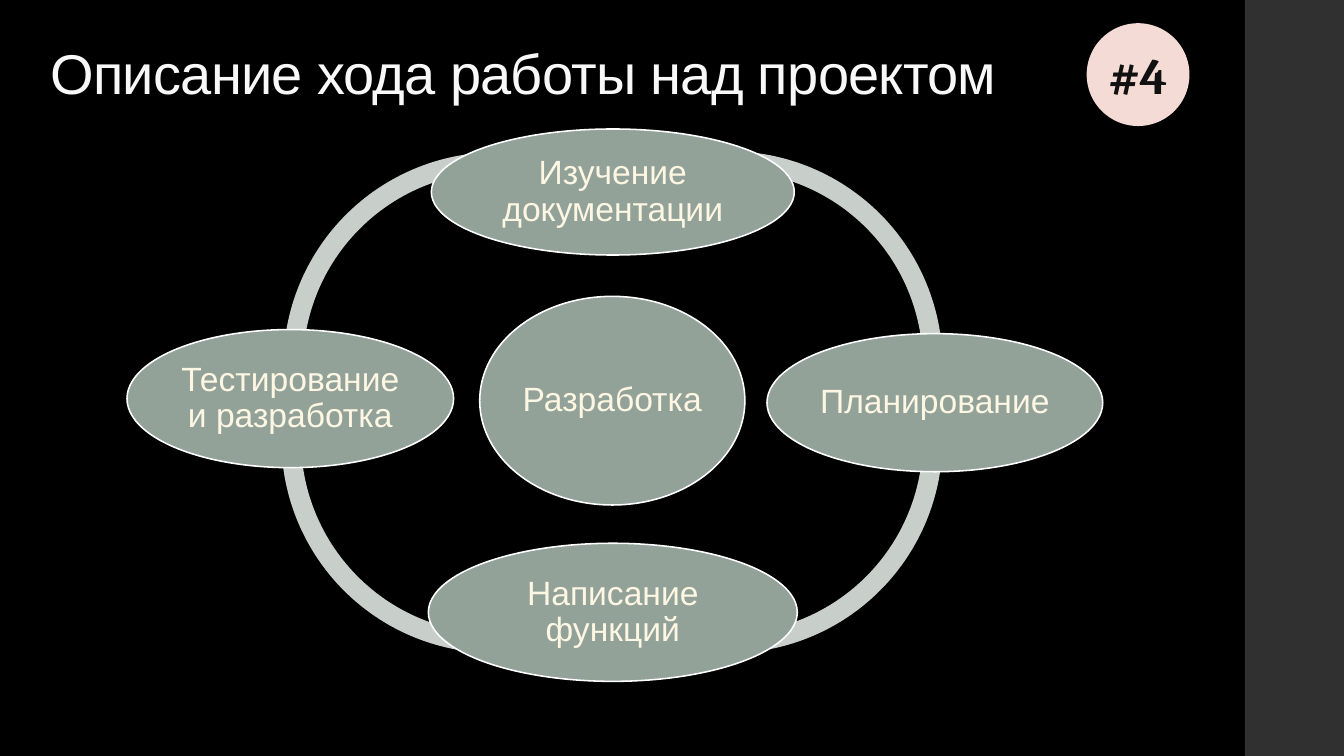
"""Build the slide that shows the project workflow as a cycle around development."""

from dataclasses import dataclass

from pptx import Presentation
from pptx.dml.color import RGBColor
from pptx.enum.shapes import MSO_SHAPE
from pptx.enum.text import MSO_ANCHOR, MSO_AUTO_SIZE, PP_ALIGN
from pptx.util import Inches, Pt

RECTANGLE = MSO_SHAPE.RECTANGLE
OVAL = MSO_SHAPE.OVAL
BLOCK_ARC = MSO_SHAPE.BLOCK_ARC
MIDDLE = MSO_ANCHOR.MIDDLE
BOTTOM = MSO_ANCHOR.BOTTOM
NO_AUTOFIT = MSO_AUTO_SIZE.NONE
CENTER = PP_ALIGN.CENTER
LEFT = PP_ALIGN.LEFT

TITLE_ONLY = 5
SLIDE_WIDTH = Inches(13.33)
SLIDE_HEIGHT = Inches(7.5)
COLORS = {
    "background": "000000",
    "sidebar": "303030",
    "badge": "F5DBD5",
    "badge_text": "111111",
    "title": "F8F8F8",
    "ring": "C8CECA",
    "stage": "93A299",
    "outline": "FFFFFF",
    "stage_text": "FDF6E3",
}


@dataclass(frozen=True)
class Area:
    """Centre and size in percent of the slide's width and height."""

    center_x: float
    center_y: float
    width: float
    height: float


@dataclass(frozen=True)
class Stage:
    """One labelled oval of the cycle."""

    label: str
    area: Area


@dataclass(frozen=True)
class Arc:
    """One quarter of the ring with its centre and end angles in degrees."""

    center_x: float
    center_y: float
    start: float
    end: float


TITLE_AREA = Area(39.38, 9.93, 72.75, 9.73)
SIDEBAR_AREA = Area(96.31, 50, 7.38, 100)
BADGE_AREA = Area(84.68, 9.87, 7.65, 13.6)
ARC_WIDTH = 31.8
ARC_HEIGHT = 56.53
ARC_THICKNESS = 0.046
ARC_UNITS_PER_DEGREE = 0.6

ARCS = [
    Arc(36.98, 48.4, 170.86, 303.72),
    Arc(36.83, 58.13, 55.82, 191.32),
    Arc(54.23, 58.13, 349.94, 123.9),
    Arc(54.23, 48.27, 236.03, 10.37),
]
STAGES = [
    Stage("Разработка", Area(45.56, 53, 19.73, 27.6)),
    Stage("Изучение документации", Area(45.6, 25.4, 27, 16.67)),
    Stage("Планирование", Area(69.56, 53.27, 24.98, 18.27)),
    Stage("Написание функций", Area(45.6, 81, 27.45, 18.27)),
    Stage("Тестирование и разработка", Area(21.6, 52.73, 24.3, 18.27)),
]


def color(name: str) -> RGBColor:
    """Return the named colour."""
    return RGBColor.from_string(COLORS[name])


def place(shape, area: Area) -> None:
    """Move and size a shape to fill an area."""
    shape.left = round(SLIDE_WIDTH * (area.center_x - area.width / 2) / 100)
    shape.top = round(SLIDE_HEIGHT * (area.center_y - area.height / 2) / 100)
    shape.width = round(SLIDE_WIDTH * area.width / 100)
    shape.height = round(SLIDE_HEIGHT * area.height / 100)


def add_figure(page, kind: MSO_SHAPE, area: Area, fill: str, outline: str = ""):
    """Add a flat filled shape with an optional outline."""
    shape = page.shapes.add_shape(kind, 0, 0, 0, 0)
    place(shape, area)
    shape.shadow.inherit = False
    shape.fill.solid()
    shape.fill.fore_color.rgb = color(fill)
    if outline:
        shape.line.color.rgb = color(outline)
        shape.line.width = Pt(1.1)
    else:
        shape.line.fill.background()
    return shape


def write(shape, text: str, *, size: float, fill: str, font: str = "Arial",
          bold: bool = False, align: PP_ALIGN = CENTER,
          anchor: MSO_ANCHOR = MIDDLE, inset: float = 0.03,
          line_spacing: float = 0.9, tracking: float = 0) -> None:
    """Write one formatted paragraph into a shape."""
    frame = shape.text_frame
    frame.word_wrap = True
    frame.auto_size = NO_AUTOFIT
    frame.vertical_anchor = anchor
    frame.margin_left = frame.margin_right = Inches(inset)
    frame.margin_top = frame.margin_bottom = Inches(min(inset, 0.05))
    para = frame.paragraphs[0]
    para.alignment = align
    para.line_spacing = line_spacing
    span = para.add_run()
    span.text = text
    span.font.name = font
    span.font.size = Pt(size)
    span.font.bold = bold
    span.font.color.rgb = color(fill)
    if tracking:
        span.font._element.set("spc", str(round(tracking * 100)))


def add_arc(page, arc: Arc) -> None:
    """Add one quarter of the ring."""
    area = Area(arc.center_x, arc.center_y, ARC_WIDTH, ARC_HEIGHT)
    shape = add_figure(page, BLOCK_ARC, area, "ring")
    shape.adjustments[0] = arc.start * ARC_UNITS_PER_DEGREE
    shape.adjustments[1] = arc.end * ARC_UNITS_PER_DEGREE
    shape.adjustments[2] = ARC_THICKNESS


def add_stage(page, stage: Stage) -> None:
    """Add one labelled oval."""
    shape = add_figure(page, OVAL, stage.area, "stage", "outline")
    write(shape, stage.label, size=24, fill="stage_text")


def main() -> None:
    """Build and save the deck."""
    deck = Presentation()
    deck.slide_width = SLIDE_WIDTH
    deck.slide_height = SLIDE_HEIGHT
    page = deck.slides.add_slide(deck.slide_layouts[TITLE_ONLY])
    page.background.fill.solid()
    page.background.fill.fore_color.rgb = color("background")

    add_figure(page, RECTANGLE, SIDEBAR_AREA, "sidebar")
    badge = add_figure(page, OVAL, BADGE_AREA, "badge")
    write(badge, "#4", size=36, fill="badge_text", font="Cambria", bold=True,
          inset=0, line_spacing=1.0)
    title = page.shapes.title
    place(title, TITLE_AREA)
    write(title, "Описание хода работы над проектом", size=40, fill="title",
          align=LEFT, anchor=BOTTOM, inset=0.1, tracking=-0.5)

    for arc in ARCS:
        add_arc(page, arc)
    for stage in STAGES:
        add_stage(page, stage)
    deck.save("out.pptx")


if __name__ == "__main__":
    main()
